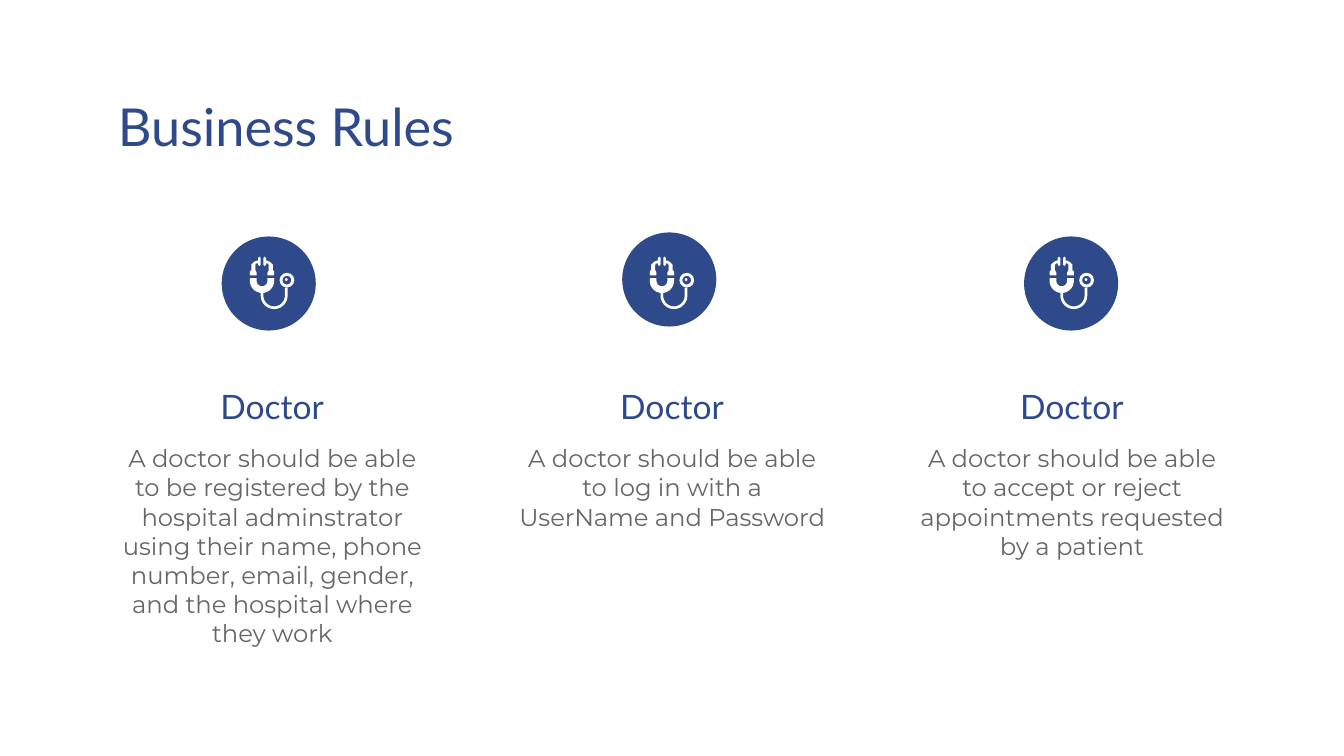
from dataclasses import dataclass
from math import cos, pi, sin

from pptx import Presentation
from pptx.dml.color import RGBColor
from pptx.enum.shapes import MSO_SHAPE
from pptx.enum.text import MSO_ANCHOR, PP_ALIGN
from pptx.util import Inches, Pt


@dataclass(frozen=True)
class Theme:
    blue: RGBColor = RGBColor(0x2F, 0x4A, 0x8A)
    gray: RGBColor = RGBColor(0x66, 0x66, 0x66)
    white: RGBColor = RGBColor(0xFF, 0xFF, 0xFF)
    heading_font: str = "Lato"
    body_font: str = "Montserrat"
    title_size: int = 28
    heading_size: int = 18
    body_size: int = 13


THEME = Theme()
SLIDE_WIDTH = 10
SLIDE_HEIGHT = SLIDE_WIDTH * 9 / 16
MARGIN = 0.78
CONTENT_WIDTH = SLIDE_WIDTH - 2 * MARGIN
COLUMN_WIDTH = 2.49
COLUMN_STEP = (CONTENT_WIDTH - COLUMN_WIDTH) / 2
TITLE_TOP, HEADING_TOP, BODY_TOP, ICON_TOP = 0.6, 2.77, 3.2, 1.91
HEADING_HEIGHT, BODY_HEIGHT = 0.51, 0.84
BADGE_SIZE = 0.7
ICON_OFFSET = 1.08
ICON_AXIS = 0.09

RULES = [
    ("A doctor should be able to be registered by the hospital adminstrator "
     "using their name, phone number, email, gender, and the hospital where "
     "they work", 1.65, 1.76),
    ("A doctor should be able to log in with a UserName and Password", 4.63, 1.73),
    ("A doctor should be able to accept or reject appointments requested "
     "by a patient", 7.62, 1.76),
]

EARPIECE = [
    (0.07, 0), (0.06, 0.01), (0.06, 0.03), (0.05, 0.03), (0.03, 0.04),
    (0.01, 0.06), (0.01, 0.1), (0, 0.11), (0, 0.14), (0.05, 0.14),
    (0.05, 0.12), (0.04, 0.1), (0.04, 0.06), (0.05, 0.05), (0.06, 0.05),
    (0.06, 0.06), (0.07, 0.07), (0.08, 0.06), (0.08, 0.01),
]


def add_text(slide, text, left, top, width, height, font_name, size, color,
             alignment=PP_ALIGN.LEFT, space_after=0):
    box = slide.shapes.add_textbox(
        Inches(left), Inches(top), Inches(width), Inches(height))
    frame = box.text_frame
    frame.word_wrap = True
    frame.vertical_anchor = MSO_ANCHOR.TOP
    frame.margin_left = frame.margin_right = Inches(0.1)
    frame.margin_top = frame.margin_bottom = Inches(0.1)
    paragraph = frame.paragraphs[0]
    paragraph.text = text
    paragraph.alignment = alignment
    paragraph.space_after = Pt(space_after)
    paragraph.font.name = font_name
    paragraph.font.size = Pt(size)
    paragraph.font.color.rgb = color


def paint(shape, color):
    shape.fill.solid()
    shape.fill.fore_color.rgb = color
    shape.line.fill.background()
    shape.shadow.inherit = False


def add_round(slide, kind, left, top, size, color):
    shape = slide.shapes.add_shape(
        kind, Inches(left), Inches(top), Inches(size), Inches(size))
    paint(shape, color)
    return shape


def add_outline(slide, points, left, top, color):
    placed = [(Inches(left + x), Inches(top + y)) for x, y in points]
    builder = slide.shapes.build_freeform(*placed[0])
    builder.add_line_segments(placed[1:], close=True)
    paint(builder.convert_to_shape(), color)


def arc(center_x, center_y, radius, steps=24):
    angles = [pi - pi * step / steps for step in range(steps + 1)]
    return [(center_x + radius * cos(angle), center_y + radius * sin(angle))
            for angle in angles]


def u_band(center_x, center_y, outer, inner, top):
    return [
        (center_x - outer, top), *arc(center_x, center_y, outer),
        (center_x + outer, top), (center_x + inner, top),
        *reversed(arc(center_x, center_y, inner)), (center_x - inner, top),
    ]


def add_stethoscope(slide, left, top):
    mirrored = [(2 * ICON_AXIS - x, y) for x, y in EARPIECE]
    cup = u_band(ICON_AXIS, 0.18, 0.09, 0.04, 0.16)
    tube = u_band(0.18, 0.29, 0.1, 0.08, 0.23)
    for outline in (EARPIECE, mirrored, cup, tube):
        add_outline(slide, outline, left, top, THEME.white)
    ring = add_round(slide, MSO_SHAPE.DONUT, left + 0.22, top + 0.12, 0.11, THEME.white)
    ring.adjustments[0] = 0.2
    add_round(slide, MSO_SHAPE.OVAL, left + 0.26, top + 0.16, 0.02, THEME.white)


def add_rule(slide, column, body, badge_left, badge_top):
    left = MARGIN + column * COLUMN_STEP
    add_text(slide, "Doctor", left, HEADING_TOP, COLUMN_WIDTH, HEADING_HEIGHT,
             THEME.heading_font, THEME.heading_size, THEME.blue, PP_ALIGN.CENTER)
    add_text(slide, body, left, BODY_TOP, COLUMN_WIDTH, BODY_HEIGHT,
             THEME.body_font, THEME.body_size, THEME.gray, PP_ALIGN.CENTER, 12)
    add_round(slide, MSO_SHAPE.OVAL, badge_left, badge_top, BADGE_SIZE, THEME.blue)
    add_stethoscope(slide, left + ICON_OFFSET, ICON_TOP)


def main():
    presentation = Presentation()
    presentation.slide_width = Inches(SLIDE_WIDTH)
    presentation.slide_height = Inches(SLIDE_HEIGHT)
    slide = presentation.slides.add_slide(presentation.slide_layouts[6])
    add_text(slide, "Business Rules", MARGIN, TITLE_TOP, CONTENT_WIDTH, HEADING_HEIGHT,
             THEME.heading_font, THEME.title_size, THEME.blue)
    for column, rule in enumerate(RULES):
        add_rule(slide, column, *rule)
    presentation.save("out.pptx")


if __name__ == "__main__":
    main()
